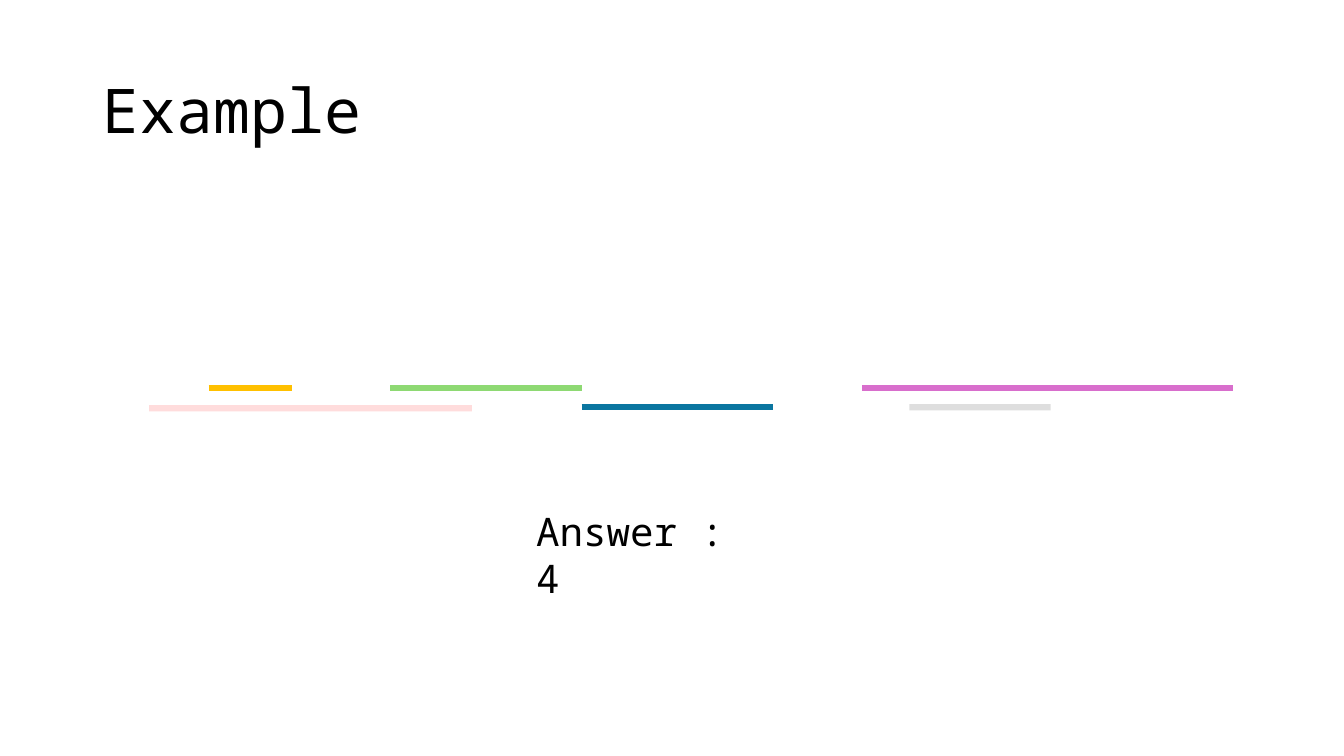
import pptx
import pptx.dml.color
import pptx.enum.shapes
import pptx.enum.text
import pptx.oxml.ns
import pptx.oxml.xmlchemy
import pptx.util
from pptx.dml.color import RGBColor
from pptx.util import Inches

BLACK = RGBColor(0x00, 0x00, 0x00)
RED = RGBColor(0xFF, 0x50, 0x50)
GREEN = RGBColor(0x8E, 0xD9, 0x73)
BLUE = RGBColor(0x0B, 0x76, 0xA0)
VIOLET = RGBColor(0xD8, 0x6E, 0xCC)
GREY = RGBColor(0x40, 0x40, 0x40)
YELLOW = RGBColor(0xFF, 0xC0, 0x00)

UPPER_ROW, LOWER_ROW = 3.85, 4.04

# Intervals: start, end, row, colour, opacity in percent
INTERVALS = [
    (1.48, 4.68, LOWER_ROW + 0.01, RED, 20),
    (3.87, 5.77, UPPER_ROW, GREEN, 100),
    (5.77, 7.67, LOWER_ROW, BLUE, 100),
    (8.55, 12.23, UPPER_ROW, VIOLET, 100),
    (9.02, 10.42, LOWER_ROW, GREY, 17),
    (2.07, 2.9, UPPER_ROW, YELLOW, 100),
]


def write_text(frame, text, *, size, font, color, line_spacing=1.0):
    para = frame.paragraphs[0]
    para.line_spacing = line_spacing
    span = para.add_run()
    span.text = text
    span.font.size = pptx.util.Pt(size)
    span.font.name = font
    span.font.color.rgb = color


class Page:
    font = "Noto Sans Mono"
    text_color = BLACK
    line_width = 4.5

    def __init__(self, deck):
        self.slide = deck.slides.add_slide(deck.slide_layouts[6])

    def text(self, text, left, top, width, height, *, size, line_spacing=1.0,
             anchor=pptx.enum.text.MSO_ANCHOR.TOP):
        box = self.slide.shapes.add_textbox(
            Inches(left), Inches(top), Inches(width), Inches(height))
        box.text_frame.word_wrap = True
        box.text_frame.vertical_anchor = anchor
        write_text(box.text_frame, text, size=size, font=self.font,
                   color=self.text_color, line_spacing=line_spacing)

    def interval(self, start, end, row, color, opacity):
        line = self.slide.shapes.add_connector(
            pptx.enum.shapes.MSO_CONNECTOR.STRAIGHT,
            Inches(start), Inches(row), Inches(end), Inches(row))
        line.line.width = pptx.util.Pt(self.line_width)
        line.line.color.rgb = color
        properties = line._element.spPr
        if opacity < 100:
            fill = properties.find(".//" + pptx.oxml.ns.qn("a:srgbClr"))
            alpha = pptx.oxml.xmlchemy.OxmlElement("a:alpha")
            alpha.set("val", str(opacity * 1000))
            fill.append(alpha)
        properties.append(pptx.oxml.xmlchemy.OxmlElement("a:effectLst"))


def main():
    deck = pptx.Presentation()
    deck.slide_width, deck.slide_height = Inches(13.33), Inches(7.5)
    page = Page(deck)

    # Title
    page.text("Example", 0.92, 0.4, 11.5, 1.45, size=44, line_spacing=0.9,
              anchor=pptx.enum.text.MSO_ANCHOR.MIDDLE)

    # Intervals
    for interval in INTERVALS:
        page.interval(*interval)

    # Answer
    page.text("Answer : 4", 5.22, 4.98, 2.36, 0.57, size=28)

    deck.save("out.pptx")


if __name__ == "__main__":
    main()
